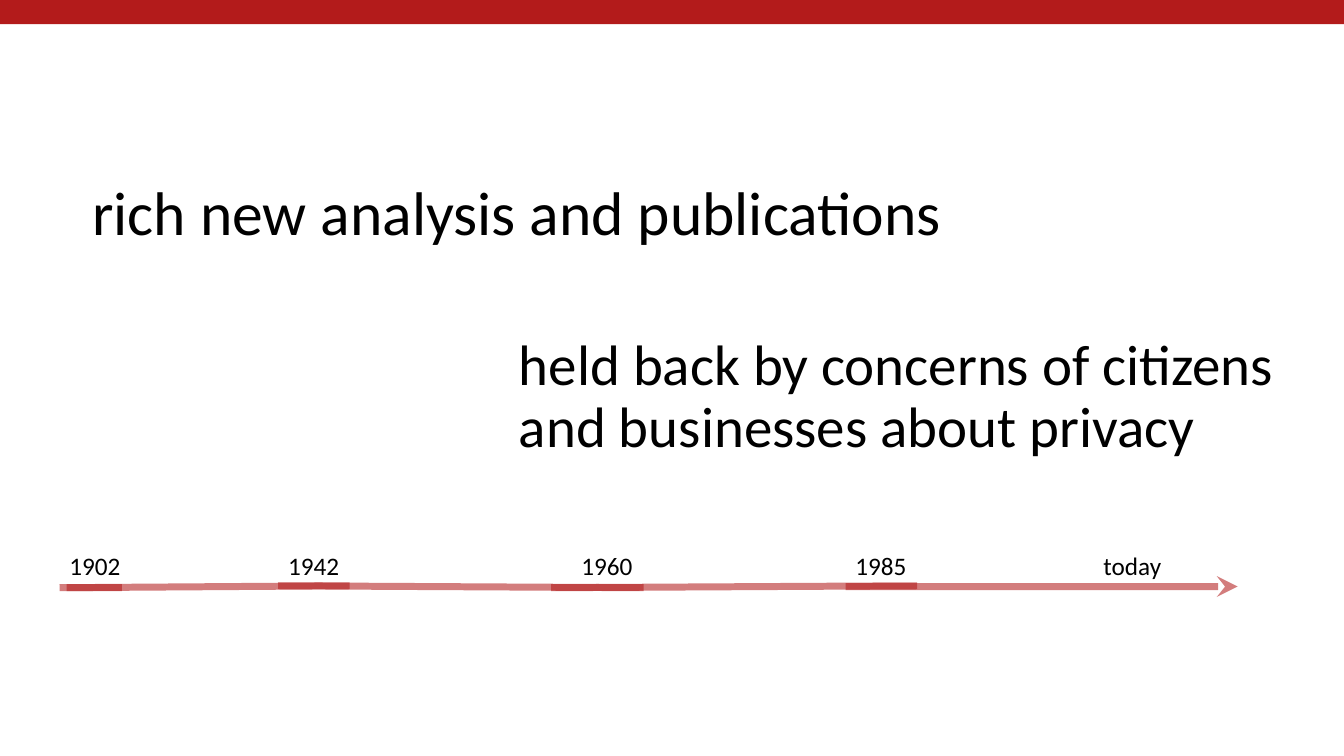
from lxml import etree
from pptx import Presentation
from pptx.dml.color import RGBColor
from pptx.enum.shapes import MSO_CONNECTOR, MSO_SHAPE
from pptx.enum.text import MSO_ANCHOR
from pptx.oxml.ns import qn
from pptx.util import Cm, Pt

RECTANGLE = MSO_SHAPE.RECTANGLE
STRAIGHT = MSO_CONNECTOR.STRAIGHT
TOP, MIDDLE = MSO_ANCHOR.TOP, MSO_ANCHOR.MIDDLE
RED = RGBColor(0xB3, 0x1B, 0x1B)
BLACK = RGBColor(0, 0, 0)

PAGE_WIDTH, PAGE_HEIGHT = 33.87, 19.05
LABEL_TOP, LABEL_WIDTH, LABEL_HEIGHT = 13.74, 3.63, 1.02
MILESTONES = [
    ("1902", 1.5),
    ("1942", 7.01),
    ("1960", 14.4),
    ("1985", 21.31),
    ("today", 27.56),
]
UPPER, CENTRE, LOWER = 14.76, 14.78, 14.81
PERIODS = [
    (1.5, LOWER, 8.81, UPPER, False),
    (7.01, UPPER, 16.22, LOWER, False),
    (13.89, LOWER, 23.11, UPPER, False),
    (21.31, CENTRE, 31.19, CENTRE, True),
    (1.68, LOWER, 3.07, LOWER, False),
]


class TimelineSlide:
    font_name = "Calibri"
    line_width = Pt(5)
    line_alpha = "57000"

    def __init__(self, page):
        self.page = page

    def band(self, left, top, width, height):
        shape = self.page.shapes.add_shape(
            RECTANGLE, Cm(left), Cm(top), Cm(width), Cm(height))
        shape.shadow.inherit = False
        shape.fill.solid()
        shape.fill.fore_color.rgb = RED
        shape.line.fill.background()

    def text(self, words, left, top, width, height, size, anchor=TOP, spacing=1.0):
        box = self.page.shapes.add_textbox(Cm(left), Cm(top), Cm(width), Cm(height))
        frame = box.text_frame
        frame.word_wrap = True
        frame.vertical_anchor = anchor
        para = frame.paragraphs[0]
        para.line_spacing = spacing
        span = para.add_run()
        span.text = words
        for name, value in {"name": self.font_name, "size": Pt(size)}.items():
            setattr(span.font, name, value)
        span.font.color.rgb = BLACK

    def period(self, start_x, start_y, end_x, end_y, arrow):
        connector = self.page.shapes.add_connector(
            STRAIGHT, Cm(start_x), Cm(start_y), Cm(end_x), Cm(end_y))
        connector.line.width = self.line_width
        connector.line.color.rgb = RED
        properties = connector._element.spPr
        colour = properties.find(".//" + qn("a:srgbClr"))
        etree.SubElement(colour, qn("a:alpha"), val=self.line_alpha)
        if arrow:
            outline = properties.find(qn("a:ln"))
            etree.SubElement(outline, qn("a:tailEnd"), type="stealth")
        etree.SubElement(properties, qn("a:effectLst"))


def main():
    deck = Presentation()
    deck.slide_width, deck.slide_height = Cm(PAGE_WIDTH), Cm(PAGE_HEIGHT)
    slide = TimelineSlide(deck.slides.add_slide(deck.slide_layouts[6]))
    slide.band(0, 0, PAGE_WIDTH, 0.61)
    slide.text("rich new analysis and publications",
               2.08, 3.66, 22.33, 3.56, 44, MIDDLE, 0.9)
    slide.text("held back by concerns of citizens and businesses about privacy",
               12.83, 8.36, 20.57, 3.94, 40.7, TOP, 0.9)
    for year, left in MILESTONES:
        slide.text(year, left, LABEL_TOP, LABEL_WIDTH, LABEL_HEIGHT, 18)
    for period in PERIODS:
        slide.period(*period)
    deck.save("out.pptx")


if __name__ == "__main__":
    main()
